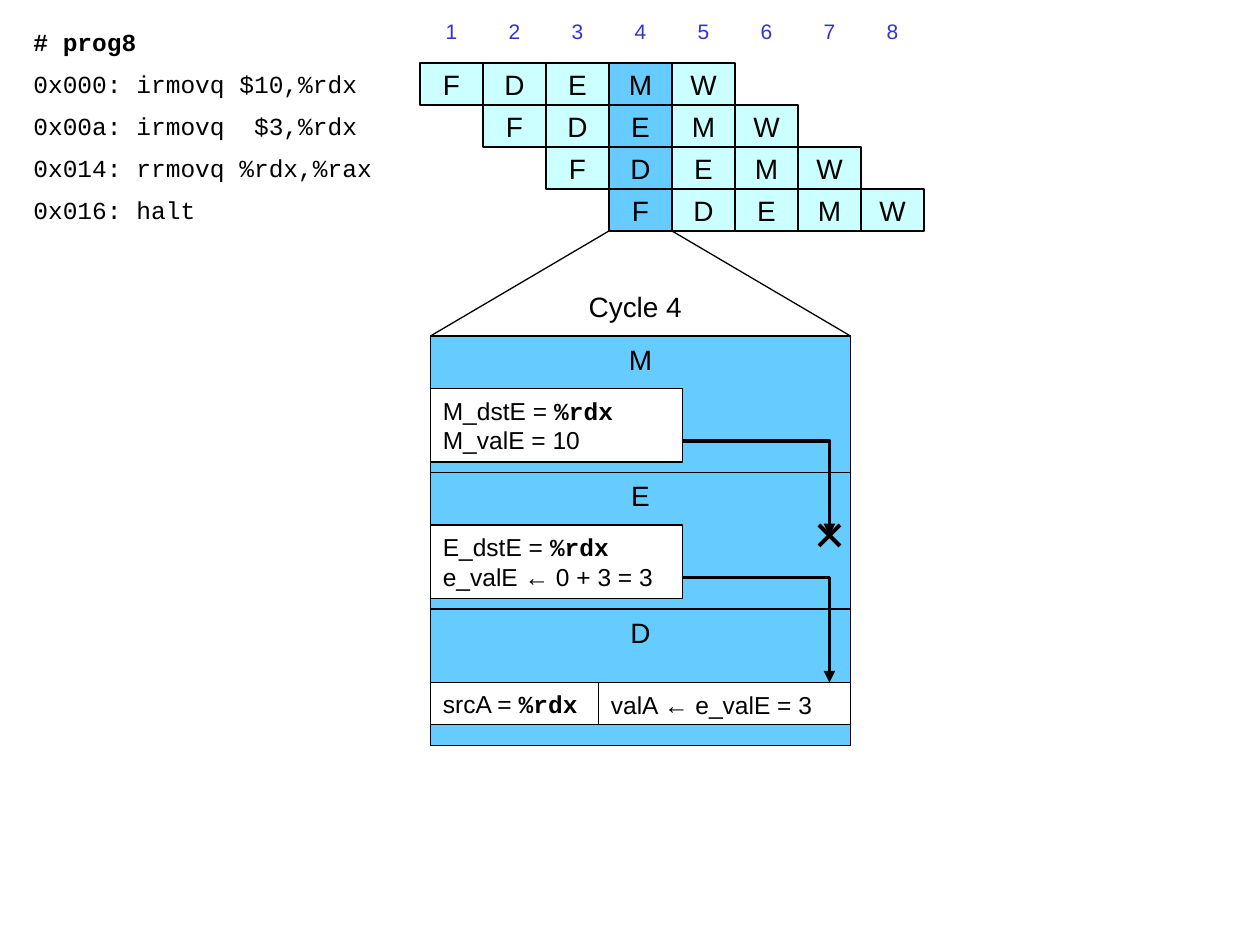
from dataclasses import dataclass

from pptx import Presentation
from pptx.dml.color import RGBColor
from pptx.enum.shapes import MSO_CONNECTOR, MSO_SHAPE
from pptx.enum.text import MSO_ANCHOR, MSO_AUTO_SIZE, PP_ALIGN
from pptx.oxml.ns import qn
from pptx.util import Pt
from lxml.etree import SubElement

BLACK = RGBColor(0x00, 0x00, 0x00)
WHITE = RGBColor(0xFF, 0xFF, 0xFF)
INDIGO = RGBColor(0x33, 0x33, 0xCC)
PALE = RGBColor(0xCC, 0xFF, 0xFF)
SKY = RGBColor(0x66, 0xCC, 0xFF)

SANS = "Arial"
MONO = "Courier New"
CODE_X, CODE_W = 12, 204
GRID_X, GRID_Y = 240, 36
CELL_W, ROW_H = 36, 24
CYCLES = 8
FOCUS = 4
STAGE_X, STAGE_Y, STAGE_W, STAGE_H = 246, 192, 240, 78
ARROW_X = 474


@dataclass(frozen=True)
class Box:
    x: float
    y: float
    w: float
    h: float


@dataclass(frozen=True)
class Register:
    box: Box
    text: str
    spacing: float | None = None


CODE = [
    "0x000: irmovq $10,%rdx",
    "0x00a: irmovq  $3,%rdx",
    "0x014: rrmovq %rdx,%rax",
    "0x016: halt",
]
REGISTERS = [
    Register(Box(STAGE_X, 222, 144, 42), "M_dstE = `%rdx`\nM_valE = 10"),
    Register(Box(STAGE_X, 300, 144, 42), "E_dstE = `%rdx`\ne_valE ← 0 + 3 = 3"),
    Register(Box(STAGE_X, 390, 96, ROW_H), "srcA = `%rdx`"),
    Register(Box(342, 390, 144, ROW_H), "valA ← e_valE = 3", 1.1),
]


def put_text(s, text: str, *, size: float = 14, font: str = SANS,
             color: RGBColor = BLACK, bold: bool = False,
             align: PP_ALIGN = PP_ALIGN.LEFT,
             anchor: MSO_ANCHOR = MSO_ANCHOR.MIDDLE,
             wrap: bool = False, spacing: float | None = None) -> None:
    tf = s.text_frame
    tf.word_wrap = wrap
    tf.vertical_anchor = anchor
    for i, line in enumerate(text.split("\n")):
        p = tf.add_paragraph() if i else tf.paragraphs[0]
        p.alignment = align
        p.line_spacing = spacing
        for j, part in enumerate(line.split("`")):
            if not part:
                continue
            is_register = j % 2 == 1
            r = p.add_run()
            r.text = part
            r.font.name = MONO if is_register else font
            r.font.bold = bold or is_register
            r.font.size = Pt(size)
            r.font.color.rgb = color


def add_box(sp, box: Box, fill: RGBColor, line: float = 0):
    s = sp.add_shape(MSO_SHAPE.RECTANGLE, Pt(box.x), Pt(box.y), Pt(box.w), Pt(box.h))
    s.shadow.inherit = False
    s.fill.solid()
    s.fill.fore_color.rgb = fill
    if line:
        s.line.color.rgb = BLACK
        s.line.width = Pt(line)
    else:
        s.line.fill.background()
    return s


def add_line(sp, x1: float, y1: float, x2: float, y2: float, width: float) -> None:
    s = sp.add_connector(MSO_CONNECTOR.STRAIGHT, Pt(x1), Pt(y1), Pt(x2), Pt(y2))
    s.line.color.rgb = BLACK
    s.line.width = Pt(width)
    SubElement(s._element.spPr, qn("a:effectLst"))


def add_forward(sp, x: float, y: float, end_y: float) -> None:
    fb = sp.build_freeform(Pt(x), Pt(y))
    fb.add_line_segments([(Pt(ARROW_X), Pt(y)), (Pt(ARROW_X), Pt(end_y))], close=False)
    s = fb.convert_to_shape()
    s.shadow.inherit = False
    s.fill.background()
    s.line.color.rgb = BLACK
    s.line.width = Pt(2.25)
    SubElement(s.line._get_or_add_ln(), qn("a:tailEnd"), type="triangle")


def add_program(sp) -> None:
    for i, text in enumerate(["# prog8", *CODE]):
        s = add_box(sp, Box(CODE_X, GRID_Y + (i - 1) * ROW_H, CODE_W, ROW_H), WHITE)
        put_text(s, text, font=MONO, bold=i == 0)


def add_pipeline(sp) -> None:
    for i in range(CYCLES):
        s = add_box(sp, Box(GRID_X + i * CELL_W, 6, CELL_W, ROW_H), WHITE)
        put_text(s, str(i + 1), size=12, color=INDIGO, align=PP_ALIGN.CENTER)
    for row in range(len(CODE)):
        for col, stage in enumerate("FDEMW", start=row):
            box = Box(GRID_X + col * CELL_W, GRID_Y + row * ROW_H, CELL_W, ROW_H)
            s = add_box(sp, box, SKY if col + 1 == FOCUS else PALE, 1)
            put_text(s, stage, size=16, align=PP_ALIGN.CENTER)


def add_cycle_detail(sp) -> None:
    focus_x = GRID_X + (FOCUS - 1) * CELL_W
    grid_bottom = GRID_Y + len(CODE) * ROW_H
    add_line(sp, focus_x, grid_bottom, STAGE_X, STAGE_Y, 0.75)
    add_line(sp, focus_x + CELL_W, grid_bottom, STAGE_X + STAGE_W, STAGE_Y, 0.75)

    s = sp.add_textbox(Pt(288), Pt(162), Pt(150), Pt(26.6))
    put_text(s, f"Cycle {FOCUS}", size=16, align=PP_ALIGN.CENTER,
             anchor=MSO_ANCHOR.TOP, wrap=True)
    s.text_frame.auto_size = MSO_AUTO_SIZE.SHAPE_TO_FIT_TEXT

    for i, stage in enumerate("MED"):
        s = add_box(sp, Box(STAGE_X, STAGE_Y + i * STAGE_H, STAGE_W, STAGE_H), SKY, 0.75)
        put_text(s, stage, size=16, align=PP_ALIGN.CENTER, anchor=MSO_ANCHOR.TOP)
    for reg in REGISTERS:
        s = add_box(sp, reg.box, WHITE, 1)
        put_text(s, reg.text, spacing=reg.spacing)

    add_forward(sp, 390, 252, 306)
    add_forward(sp, 390, 330, 390)
    for dx in (-6, 6):
        add_line(sp, ARROW_X + dx, 300, ARROW_X - dx, 312, 2.25)


def main() -> None:
    prs = Presentation()
    prs.slide_width = Pt(720)
    prs.slide_height = Pt(540)
    sp = prs.slides.add_slide(prs.slide_layouts[6]).shapes
    add_program(sp)
    add_pipeline(sp)
    add_cycle_detail(sp)
    prs.save("out.pptx")


if __name__ == "__main__":
    main()
